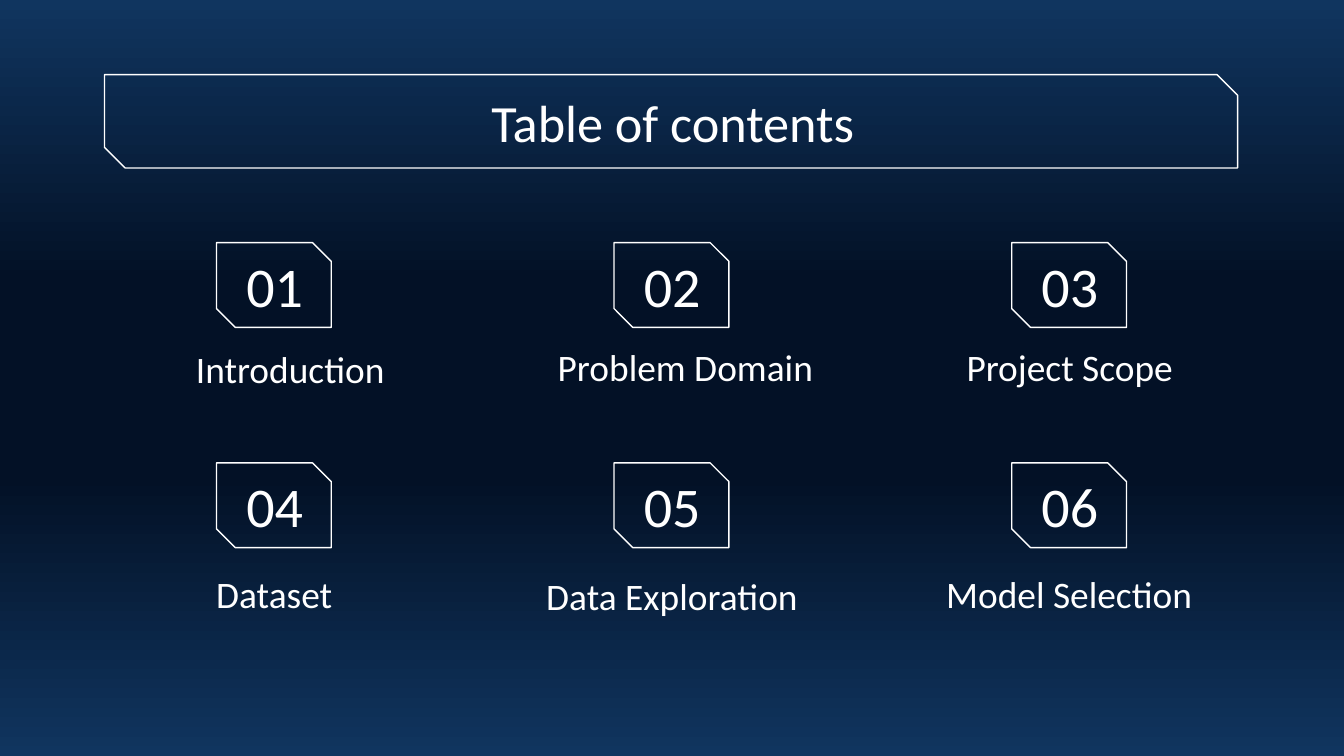
"""Build the table of contents slide."""
from copy import deepcopy

from pptx import Presentation
from pptx import util as u
from pptx.dml.color import RGBColor
from pptx.enum import shapes, text
from pptx.oxml.ns import qn

WHITE, BLUE, NAVY = "FFFFFF", "10355F", "031126"
LEFT, TOP, COL, ROW = 116, 130, 213, 118
TOPICS = [
    ("Introduction", 64.8, 175, 181.4),
    ("Problem Domain", 269.3, 173.5, 195.8),
    ("Project Scope", 482.4, 173.5, 181.4),
    ("Dataset", 74.9, 295.2, 144),
    ("Data Exploration", 254.9, 296.6, 210.2),
    ("Model Selection", 470.9, 295.2, 203.8),
]


def tint(color, code):
    """Give a colour object a hex value."""
    color.rgb = RGBColor.from_string(code)


def paint(slide, stops):
    """Fill the background with a vertical gradient."""
    fill = slide.background.fill
    fill.gradient()
    fill.gradient_angle = 270
    group = next(slide.element.iter(qn("a:gsLst")))
    while len(group) < len(stops):
        group.append(deepcopy(group[0]))
    for stop, (spot, code) in zip(fill.gradient_stops, stops):
        stop.position = spot
        tint(stop.color, code)


def frame(slide, x, y, w, h):
    """Draw an outline with two snipped corners."""
    kind = shapes.MSO_SHAPE.SNIP_2_DIAG_RECTANGLE
    box = slide.shapes.add_shape(kind, u.Pt(x), u.Pt(y), u.Pt(w), u.Pt(h))
    box.adjustments[0], box.adjustments[1] = 0, 0.221
    box.shadow.inherit = False
    box.fill.background()
    tint(box.line.color, WHITE)
    box.line.width = u.Pt(0.75)


def write(slide, words, x, y, w, h, size=20, anchor="MIDDLE", box=None):
    """Put centred text in a new text box or the given placeholder."""
    box = box or slide.shapes.add_textbox(0, 0, 0, 0)
    box.left, box.top, box.width, box.height = map(u.Pt, (x, y, w, h))
    body = box.text_frame
    body.word_wrap = True
    body.auto_size = text.MSO_AUTO_SIZE.NONE
    body.vertical_anchor = text.MSO_ANCHOR[anchor]
    body.margin_left = body.margin_right = u.Pt(7.2)
    body.margin_top = body.margin_bottom = u.Pt(7.2)
    line = body.paragraphs[0]
    line.alignment = text.PP_ALIGN.CENTER
    run = line.add_run()
    run.text = words
    run.font.name, run.font.size = "Calibri", u.Pt(size)
    tint(run.font.color, WHITE)


def main():
    """Build and save the slide."""
    deck = Presentation()
    deck.slide_width, deck.slide_height = u.Pt(720), u.Pt(405)
    slide = deck.slides.add_slide(deck.slide_layouts[5])
    paint(slide, [(0, BLUE), (0.37, NAVY), (0.63, NAVY), (1, BLUE)])
    frame(slide, 56, 40, 607, 50)
    write(slide, "Table of contents", 56.9, 42.5, 607, 45.4, size=28,
          box=slide.shapes.title)
    for i, (topic, x, y, w) in enumerate(TOPICS):
        row, col = divmod(i, 3)
        left, top = LEFT + col * COL, TOP + row * ROW
        frame(slide, left, top, 61.5, 45.4)
        write(slide, f"{i + 1:02}", left - 4.5, top + 5, 71.3, 35.3, size=30)
        write(slide, topic, x, y, w, 41.8, anchor="BOTTOM")
    deck.save("out.pptx")


if __name__ == "__main__":
    main()
